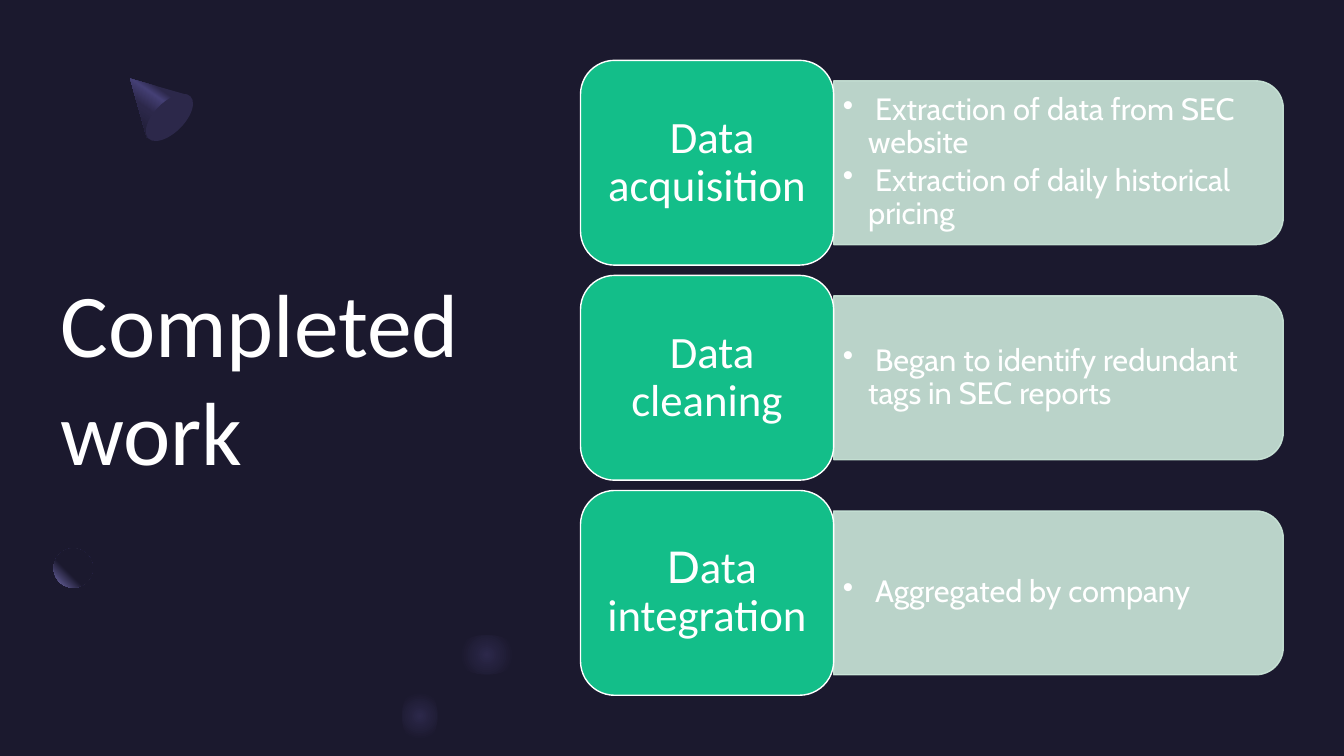
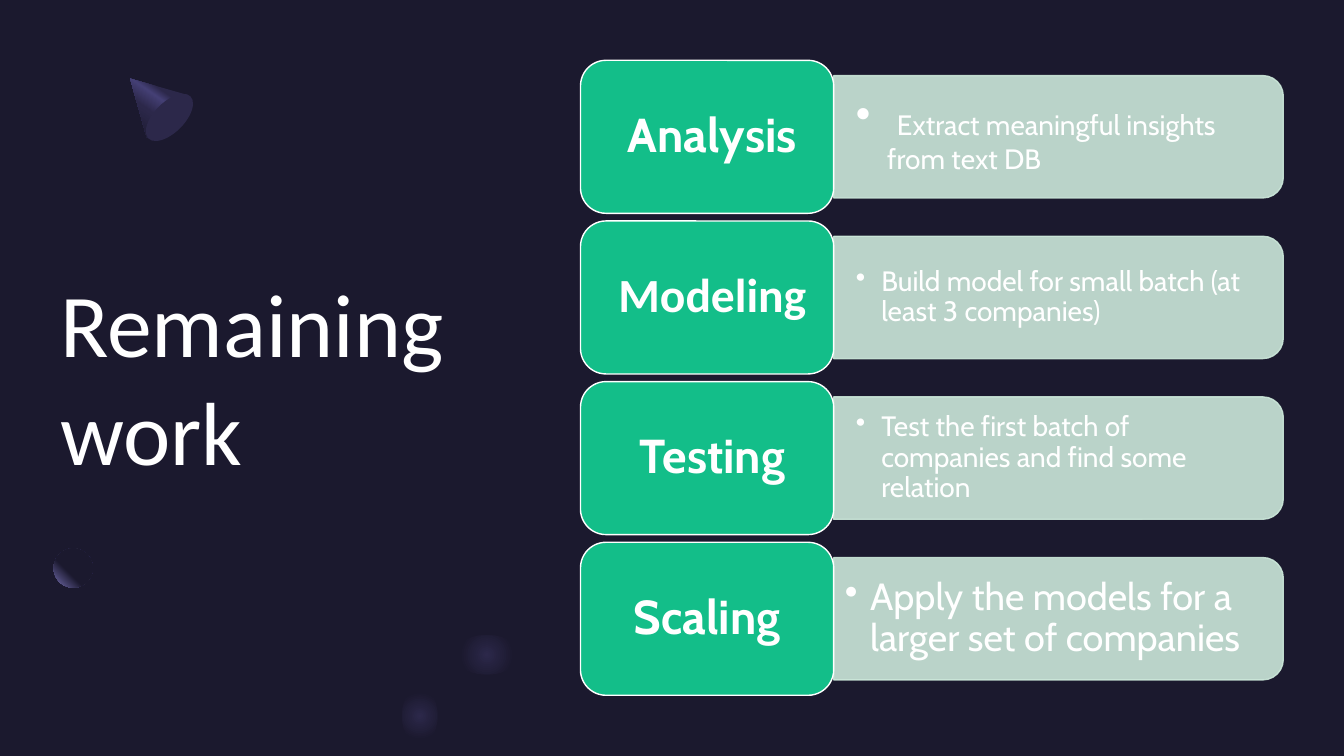
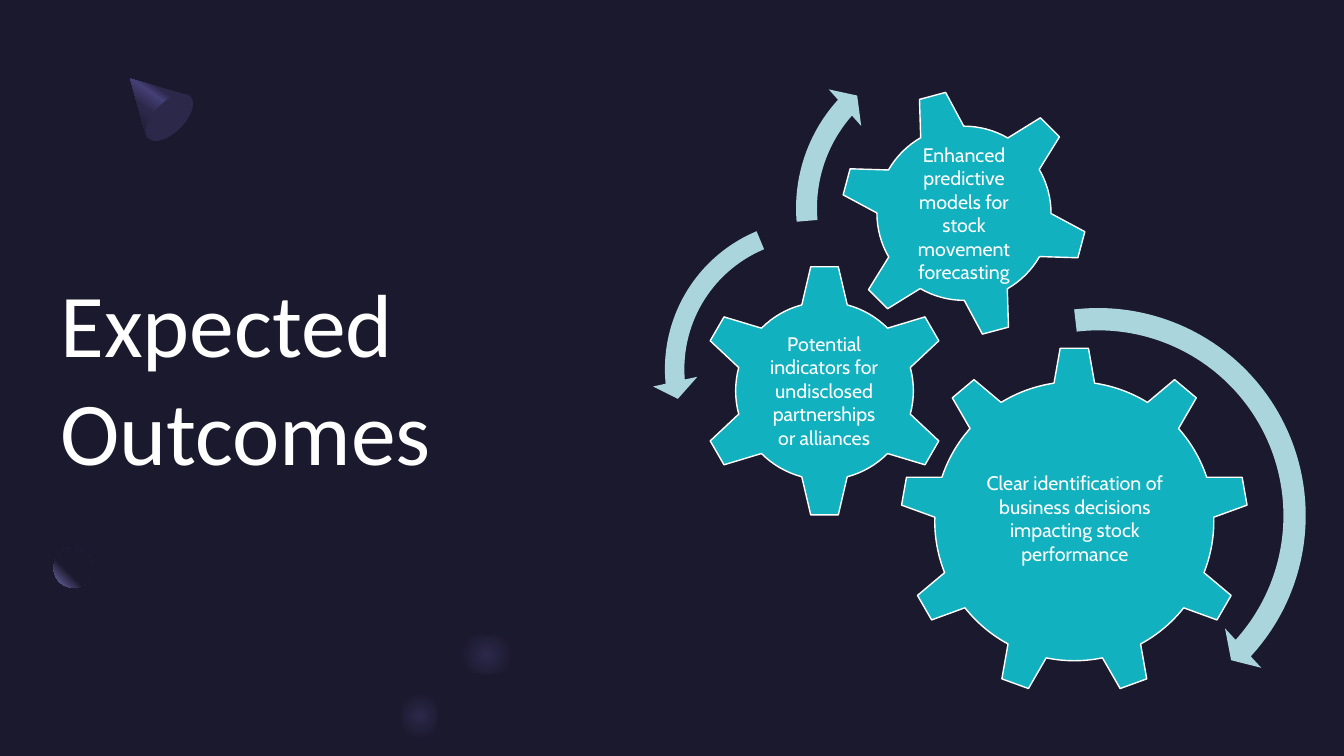
from pptx import Presentation
from pptx.dml.color import RGBColor
from pptx.enum.shapes import MSO_SHAPE
from pptx.enum.text import MSO_ANCHOR, MSO_AUTO_SIZE, PP_ALIGN
from pptx.oxml import parse_xml
from pptx.oxml.ns import nsdecls, qn
from pptx.util import Cm, Pt

NAVY, INDIGO, VIOLET, LILAC = "1B192E", "2C284A", "454075", "7771B2"
GREEN, MINT, TEAL, AQUA, WHITE = "13BE89", "CCE8DA", "12B1BF", "ABD5DC", "FFFFFF"
CABIN, CALIBRI = "Cabin", "Calibri"


def paint(fill, color, alpha=100):
    fill.solid()
    fill.fore_color.rgb = RGBColor.from_string(color)
    if alpha < 100:
        clr = fill._xPr.find(qn("a:solidFill"))[0]
        clr.append(parse_xml(f'<a:alpha {nsdecls("a")} val="{alpha * 1000}"/>'))


def write(p, runs, align=PP_ALIGN.LEFT):
    p.alignment = align
    for text, font, size, bold in runs:
        r = p.add_run()
        r.text = text
        r.font.name, r.font.size, r.font.bold = font, Pt(size), bold
        paint(r.font.fill, WHITE)


prs = Presentation()
prs.slide_width, prs.slide_height = Cm(33.87), Cm(19.05)

# Shared background and title area
paint(prs.slide_master.background.fill, NAVY)
layout = prs.slide_layouts[5]
title = layout.placeholders[0]
title.left, title.top, title.width, title.height = Cm(1.52), Cm(4.22), Cm(12.6), Cm(10.49)
tf = title.text_frame
tf.vertical_anchor = MSO_ANCHOR.MIDDLE
tf.auto_size = MSO_AUTO_SIZE.NONE
tf.margin_left = tf.margin_right = tf.margin_top = tf.margin_bottom = 0

# Gradient decorations: stops and direction
CONE = ([(0, INDIGO), (30, INDIGO), (40, VIOLET), (60, INDIGO), (100, NAVY)],
        '<a:lin ang="7500000" scaled="0"/>')
BALL = ([(0, NAVY), (60, NAVY), (100, LILAC)],
        '<a:path path="circle"><a:fillToRect l="100000" b="100000"/></a:path>')
GLOW = ([(0, INDIGO), (70, NAVY), (100, NAVY)],
        '<a:path path="circle"><a:fillToRect l="50000" t="50000" r="50000" b="50000"/></a:path>')
ROUND_DECOR = [  # left, top, width, height, gradient
    (1.35, 13.82, 0.99, 0.99, BALL),
    (11.42, 16, 1.7, 1, GLOW),
    (10.13, 17.29, 0.9, 1.5, GLOW),
]

slides = []
for heading in ("Completed work", "Remaining work", "Expected Outcomes"):
    s = prs.slides.add_slide(layout)
    slides.append(s)
    write(s.shapes.title.text_frame.paragraphs[0], [(heading, CALIBRI, 64, False)])

    builder = s.shapes.build_freeform(Cm(3.28), Cm(1.98))
    builder.add_line_segments([(Cm(4.75), Cm(2.4)), (Cm(3.7), Cm(3.47))])
    decor = [(builder.convert_to_shape(), CONE)]
    cone_base = s.shapes.add_shape(MSO_SHAPE.OVAL, Cm(3.89), Cm(2.21), Cm(0.76), Cm(1.5))
    cone_base.rotation = 45
    paint(cone_base.fill, INDIGO)
    cone_base.line.fill.background()
    for left, top, width, height, gradient in ROUND_DECOR:
        sp = s.shapes.add_shape(MSO_SHAPE.OVAL, Cm(left), Cm(top), Cm(width), Cm(height))
        decor.append((sp, gradient))

    for sp, (stops, direction) in decor:
        paint(sp.fill, NAVY)
        sp.line.fill.background()
        stop_xml = "".join(f'<a:gs pos="{pos * 1000}"><a:srgbClr val="{color}"/></a:gs>'
                           for pos, color in stops)
        props = sp._element.spPr
        props.replace(props.find(qn("a:solidFill")), parse_xml(
            f'<a:gradFill {nsdecls("a")} rotWithShape="1"><a:gsLst>{stop_xml}</a:gsLst>'
            f'{direction}</a:gradFill>'))

# Card rows: label runs, text inset, bullet indent, bullets
COMPLETED = [
    ([(" ", CABIN, 32, True), ("Data acquisition", CALIBRI, 32, False)], 0.23, 0.64,
     [[(" Extraction of data from SEC website", CABIN, 22, False)],
      [(" Extraction of daily historical pricing", CABIN, 22, False)]]),
    ([(" ", CALIBRI, 32, True), ("Data cleaning", CALIBRI, 32, False)], 0.23, 0.64,
     [[(" Began to identify redundant tags in SEC reports", CABIN, 22, False)]]),
    ([(" D", CABIN, 32, False), ("ata integration", CALIBRI, 32, False)], 0.23, 0.64,
     [[(" Aggregated by company", CABIN, 22, False)]]),
]
REMAINING = [
    ([(" Analysis", CABIN, 34, True)], 0.56, 0.79,
     [[(" ", CABIN, 31, True), ("Extract meaningful insights from text DB", CABIN, 20, False)]]),
    ([(" Modeling", CALIBRI, 34, True)], 0.56, 0.64,
     [[("Build model for small batch (at least 3 companies)", CABIN, 20, False)]]),
    ([(" Testing", CABIN, 34, True)], 0.56, 0.64,
     [[("Test the first batch of companies and find some relation", CABIN, 20, False)]]),
    ([("Scaling", CABIN, 34, True)], 0.28, 0.64,
     [[("Apply the models for a larger set of companies", CABIN, 27, False)]]),
]
CARD_LEFT, CARD_TOP, CARDS_HEIGHT = 14.63, 1.52, 16
LABEL_W, DETAIL_W = 6.38, 11.33
detail_left = CARD_LEFT + LABEL_W

for s, rows in zip(slides, (COMPLETED, REMAINING)):
    # Gaps are 5 % of a label's height; details are 80 % of it
    label_h = CARDS_HEIGHT / (len(rows) + 0.05 * (len(rows) - 1))
    detail_h = 0.8 * label_h
    for i, (label, inset, indent, bullets) in enumerate(rows):
        top = CARD_TOP + i * 1.05 * label_h
        middle = top + label_h / 2

        # Detail panel, turned so that its round corners face right
        sp = s.shapes.add_shape(
            MSO_SHAPE.ROUND_2_SAME_RECTANGLE,
            Cm(detail_left + DETAIL_W / 2 - detail_h / 2), Cm(middle - DETAIL_W / 2),
            Cm(detail_h), Cm(DETAIL_W))
        sp.rotation = 90
        paint(sp.fill, MINT, 90)
        paint(sp.line.fill, MINT, 90)
        sp.line.width = Pt(1)

        # Bulleted text
        tf = s.shapes.add_textbox(Cm(detail_left), Cm(middle - detail_h / 2),
                                  Cm(11.15), Cm(detail_h)).text_frame
        tf.word_wrap = True
        tf.vertical_anchor = MSO_ANCHOR.MIDDLE
        tf.margin_left = tf.margin_right = Cm(inset)
        tf.margin_top = tf.margin_bottom = Cm(inset / 2)
        for n, runs in enumerate(bullets):
            p = tf.add_paragraph() if n else tf.paragraphs[0]
            write(p, runs)
            p.line_spacing = 0.9
            p.space_after = Pt(3)
            props = p._p.get_or_add_pPr()
            props.set("marL", str(Cm(indent)))
            props.set("indent", str(-Cm(indent)))
            props.append(parse_xml(f'<a:buChar {nsdecls("a")} char="•"/>'))

        # Label
        sp = s.shapes.add_shape(MSO_SHAPE.ROUNDED_RECTANGLE, Cm(CARD_LEFT), Cm(top),
                                Cm(LABEL_W), Cm(label_h))
        paint(sp.fill, GREEN)
        paint(sp.line.fill, WHITE)
        sp.line.width = Pt(1)
        tf = sp.text_frame
        tf.word_wrap = True
        tf.vertical_anchor = MSO_ANCHOR.MIDDLE
        tf.margin_left = tf.margin_right = Cm(0.34)
        tf.margin_top = tf.margin_bottom = Cm(0.17)
        write(tf.paragraphs[0], label, PP_ALIGN.CENTER)
        tf.paragraphs[0].line_spacing = 0.9

# Gears: shape, left, top, size, rotation, text box, text
GEARS = [
    (MSO_SHAPE.GEAR_9, 22.68, 8.74, 8.79, 0, (24.46, 10.8, 5.26, 4.52),
     "Clear identification of business decisions impacting stock performance"),
    (MSO_SHAPE.GEAR_6, 17.58, 6.65, 6.4, 0, (19.18, 8.26, 3.18, 3.15),
     "Potential indicators for undisclosed partnerships or alliances"),
    (MSO_SHAPE.GEAR_6, 21.16, 2.24, 6.27, 345, (22.53, 3.61, 3.53, 3.53),
     "Enhanced predictive models for stock movement forecasting"),
]
s = slides[2]
for kind, left, top, size, rotation, text_box, text in GEARS:
    sp = s.shapes.add_shape(kind, Cm(left), Cm(top), Cm(size), Cm(size))
    sp.rotation = rotation
    paint(sp.fill, TEAL)
    paint(sp.line.fill, WHITE)
    sp.line.width = Pt(1)
    tf = s.shapes.add_textbox(*[Cm(v) for v in text_box]).text_frame
    tf.word_wrap = True
    tf.vertical_anchor = MSO_ANCHOR.MIDDLE
    tf.margin_left = tf.margin_right = tf.margin_top = tf.margin_bottom = Cm(0.05)
    write(tf.paragraphs[0], [(text, CABIN, 14, False)], PP_ALIGN.CENTER)

# Turning arrows: shape, left, top, size, adjustments
ARROWS = [
    (MSO_SHAPE.CIRCULAR_ARROW, 22.05, 7.37, 11.25, (0.05, 2.99, 25.44, 158.02, 0.06)),
    (MSO_SHAPE.LEFT_CIRCULAR_ARROW, 16.43, 5.21, 8.18, (0.06, 4.3, 104.89, 148.38, 0.07)),
    (MSO_SHAPE.CIRCULAR_ARROW, 19.71, 0.84, 8.81, (0.06, 3.94, 133.14, 105.08, 0.07)),
]
for kind, left, top, size, adjustments in ARROWS:
    sp = s.shapes.add_shape(kind, Cm(left), Cm(top), Cm(size), Cm(size))
    for i, value in enumerate(adjustments):
        sp.adjustments[i] = value
    paint(sp.fill, AQUA)
    sp.line.fill.background()

# No shadows anywhere
for s in slides:
    for sp in s.shapes:
        if not sp.is_placeholder:
            sp.shadow.inherit = False

prs.save("out.pptx")
